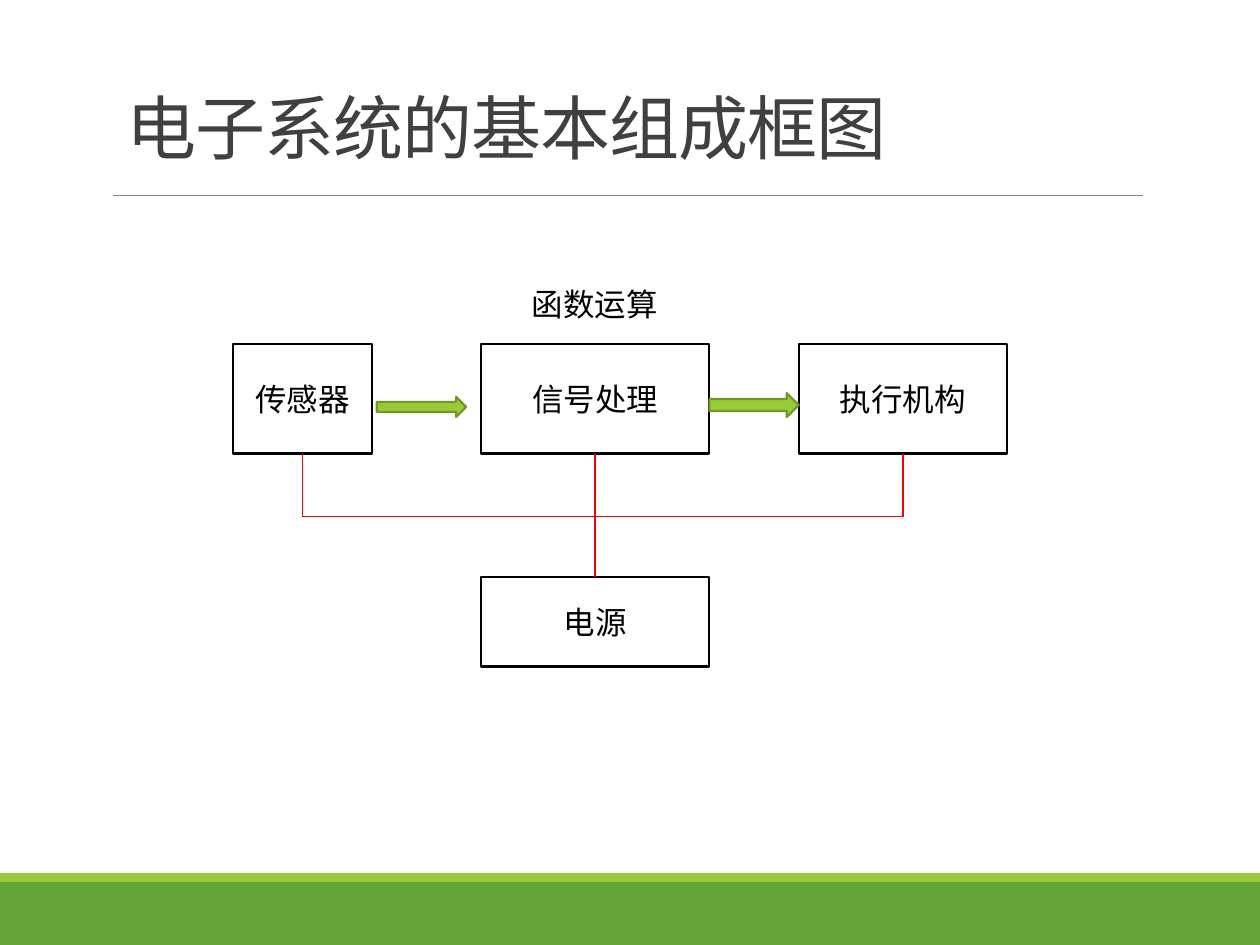
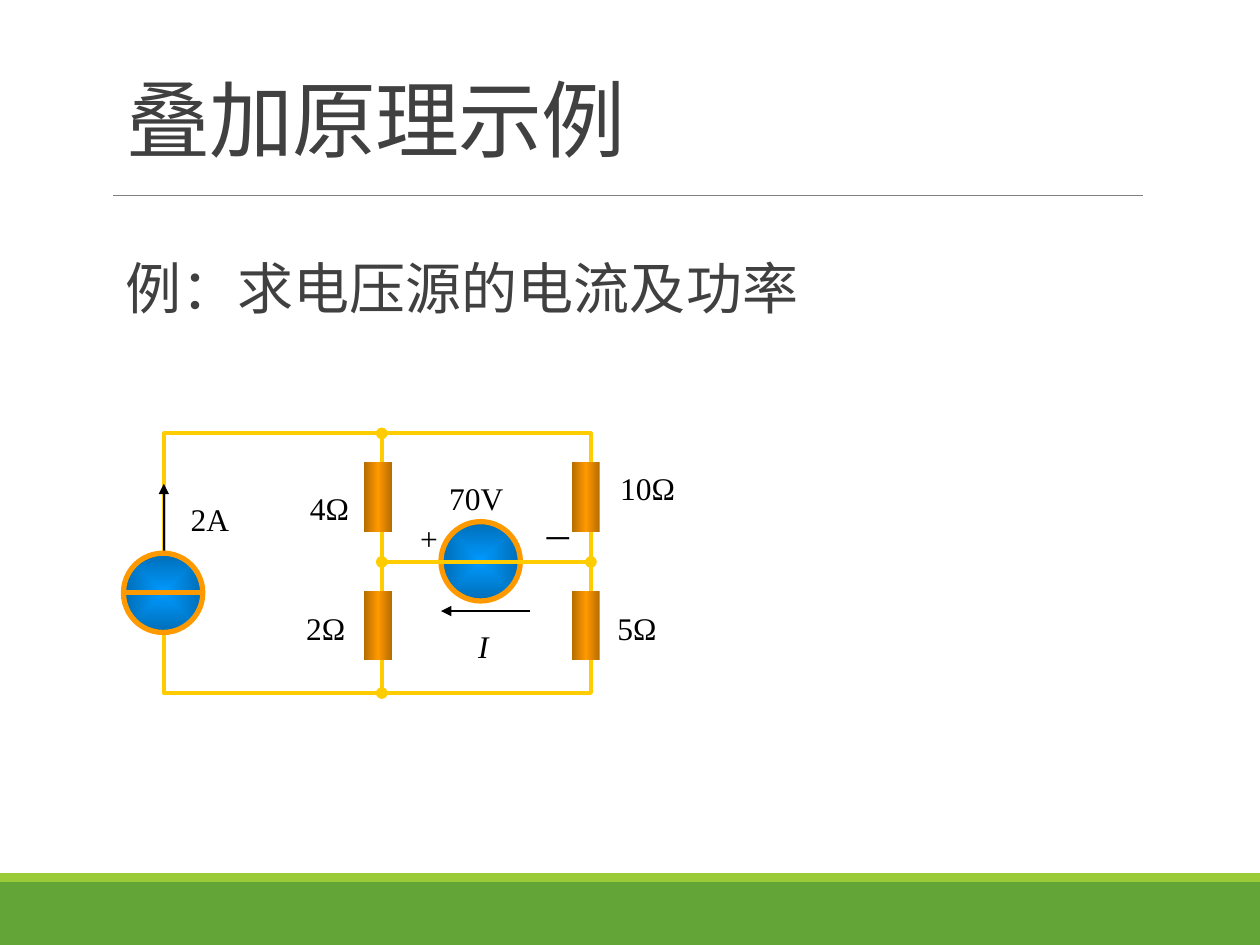
from itertools import product
from lxml.etree import SubElement
from pptx import Presentation
from pptx.dml.color import RGBColor
from pptx.enum.shapes import MSO_CONNECTOR, MSO_SHAPE
from pptx.enum.text import MSO_ANCHOR, MSO_AUTO_SIZE, PP_ALIGN
from pptx.oxml.ns import qn
from pptx.util import Inches, Pt

WHITE, BLACK, GREY, RULE = "FFFFFF", "000000", "404040", "808080"
DARK_GREEN, GREEN, ARROW_EDGE, RED = "63A537", "99CB38", "719629", "FF0000"
WIRE, ORANGE = "FFCC00", "FF9900"
CHINESE, BODY, FORMULA = "Noto Sans CJK SC", "Calibri", "Times New Roman"

BANDS = [(0, 7, 10, 0.5, DARK_GREEN), (0, 6.93, 10, 0.07, GREEN)]
TITLE_AREA = (0.9, 0.31, 8.25, 1.08)
TITLE_LINE = ((0.9, 1.55), (9.07, 1.55))

DIAGRAM_TITLE = ("电子系统的基本组成框图", 40)
STAGE_TOP, STAGE_HEIGHT, BUS_LEVEL = 2.73, 0.87, 4.1
STAGES = [("传感器", 1.85, 1.1), ("信号处理", 3.82, 1.81), ("执行机构", 6.34, 1.65)]
POWER_SUPPLY = ("电源", (3.82, 4.58, 1.81, 0.71))
FLOW_ARROWS = [(2.99, 3.15, 0.71, 0.16), (5.63, 3.12, 0.71, 0.19)]
FUNCTION_LABEL = ("函数运算", (4.1, 2.21, 1.24, 0.4))

CIRCUIT_TITLE = ("叠加原理示例", 48)
QUESTION = ("例：求电压源的电流及功率", (0.9, 1.7, 8.25, 1.08))
LOOP = (1.3, 3.44, 3.39, 2.06)
MIDDLE_X, MIDDLE_Y = 3.03, 4.46
SOURCE_SIZE = 0.63
VOLTAGE_SOURCE, CURRENT_SOURCE = (3.5, 4.14), (0.98, 4.39)
RESISTOR_LEFTS, RESISTOR_TOPS, RESISTOR_SIZE = (2.89, 4.54), (3.67, 4.69), (0.22, 0.55)
SOURCE_STOPS = [(0, "0099FF"), (100, "006DB6")]
RESISTOR_STOPS = [(0, "B66D00"), (50, ORANGE), (100, "B66D00")]
CIRCUIT_LABELS = [
    ("4Ω", 2.2, 3.83, 0.83), ("2A", 1.41, 3.92, 0.51), ("70V", 3.46, 3.75, 0.64),
    ("10Ω", 4.57, 3.67, 1.14), ("5Ω", 4.64, 4.78, 0.83), ("2Ω", 2.17, 4.78, 0.83),
    ("+", 3.23, 4.07, 0.35), ("－", 4.2, 4.07, 0.46), ("I", 3.69, 4.93, 0.29),
]
LABEL_HEIGHT = 0.4


def color(value):
    return RGBColor.from_string(value)


def assign(target, values):
    for name, value in values.items():
        setattr(target, name, value)


def write(shape, text, size, font=BODY, fill=BLACK, italic=False, frame=None, paragraph=None):
    text_frame = shape.text_frame
    text_frame.text = text
    assign(text_frame, {"word_wrap": True, "auto_size": MSO_AUTO_SIZE.NONE,
                        "vertical_anchor": MSO_ANCHOR.MIDDLE, **(frame or {})})
    first = text_frame.paragraphs[0]
    assign(first, {"alignment": PP_ALIGN.CENTER, **(paragraph or {})})
    run = first.runs[0]
    assign(run.font, {"size": Pt(size), "name": font, "italic": italic})
    run.font.color.rgb = color(fill)
    SubElement(run.font._element, qn("a:ea"), typeface=CHINESE)
    return run


def add_figure(slide, kind, area, fill=None, line=None, width=1.25):
    shape = slide.shapes.add_shape(kind, *map(Inches, area))
    shape.shadow.inherit = False
    if fill:
        shape.fill.solid()
        shape.fill.fore_color.rgb = color(fill)
    else:
        shape.fill.background()
    if line:
        shape.line.color.rgb = color(line)
        shape.line.width = Pt(width)
    else:
        shape.line.fill.background()
    return shape


def add_line(slide, start, end, line, width, **ends):
    connector = slide.shapes.add_connector(
        MSO_CONNECTOR.STRAIGHT, *map(Inches, (*start, *end)))
    connector.line.color.rgb = color(line)
    connector.line.width = Pt(width)
    for side, kind in ends.items():
        SubElement(connector.line._get_or_add_ln(), qn(f"a:{side}End"), type=kind)
    SubElement(connector._element.spPr, qn("a:effectLst"))


def add_label(slide, text, area, **values):
    label = slide.shapes.add_textbox(*map(Inches, area))
    return write(label, text, 18, frame={"word_wrap": False}, **values)


def set_gradient(shape, stops, radial=False):
    shape.fill.gradient()
    gradient = shape._element.spPr.find(qn("a:gradFill"))
    for child in list(gradient):
        gradient.remove(child)
    stop_list = SubElement(gradient, qn("a:gsLst"))
    for position, value in stops:
        stop = SubElement(stop_list, qn("a:gs"), pos=str(position * 1000))
        SubElement(stop, qn("a:srgbClr"), val=value)
    if radial:
        direction = SubElement(gradient, qn("a:path"), {"path": "shape"})
        SubElement(direction, qn("a:fillToRect"), dict.fromkeys("ltrb", "50000"))
    else:
        SubElement(gradient, qn("a:lin"), ang="0", scaled="1")


def add_titled_slide(presentation, text, size):
    slide = presentation.slides.add_slide(presentation.slide_layouts[5])
    for *area, fill in BANDS:
        add_figure(slide, MSO_SHAPE.RECTANGLE, area, fill)
    add_line(slide, *TITLE_LINE, RULE, 0.5)
    title = slide.shapes.title
    assign(title, dict(zip(("left", "top", "width", "height"), map(Inches, TITLE_AREA))))
    run = write(title, text, size, CHINESE, GREY,
                frame={"vertical_anchor": MSO_ANCHOR.BOTTOM},
                paragraph={"alignment": PP_ALIGN.LEFT, "line_spacing": 0.85})
    run.font._element.set("spc", "-50")
    return slide


def build_diagram(presentation):
    slide = add_titled_slide(presentation, *DIAGRAM_TITLE)
    boxes = [(text, (left, STAGE_TOP, width, STAGE_HEIGHT)) for text, left, width in STAGES]
    for text, area in [*boxes, POWER_SUPPLY]:
        write(add_figure(slide, MSO_SHAPE.RECTANGLE, area, WHITE, BLACK), text, 18)
    for area in FLOW_ARROWS:
        add_figure(slide, MSO_SHAPE.RIGHT_ARROW, area, GREEN, ARROW_EDGE)
    stage_bottom = STAGE_TOP + STAGE_HEIGHT
    sensor, processor, actuator = [left + width / 2 for _, left, width in STAGES]
    supply_top = POWER_SUPPLY[1][1]
    for center, bottom in [(sensor, BUS_LEVEL), (processor, supply_top), (actuator, BUS_LEVEL)]:
        add_line(slide, (center, stage_bottom), (center, bottom), RED, 1)
    add_line(slide, (sensor, BUS_LEVEL), (actuator, BUS_LEVEL), RED, 1)
    add_label(slide, *FUNCTION_LABEL)


def add_source(slide, corner):
    area = (*corner, SOURCE_SIZE, SOURCE_SIZE)
    source = add_figure(slide, MSO_SHAPE.OVAL, area, line=ORANGE, width=3)
    set_gradient(source, SOURCE_STOPS, radial=True)


def build_circuit(presentation):
    slide = add_titled_slide(presentation, *CIRCUIT_TITLE)
    text, area = QUESTION
    question = slide.shapes.add_textbox(*map(Inches, area))
    write(question, text, 32, CHINESE, GREY, frame={"vertical_anchor": MSO_ANCHOR.TOP},
          paragraph={"alignment": PP_ALIGN.LEFT, "line_spacing": 1.5,
                     "space_before": Pt(12), "space_after": Pt(2)})

    add_source(slide, VOLTAGE_SOURCE)
    add_figure(slide, MSO_SHAPE.RECTANGLE, LOOP, line=WIRE, width=2.25)
    left, top, width, height = LOOP
    for start, end in [((MIDDLE_X, top), (MIDDLE_X, top + height)),
                       ((MIDDLE_X, MIDDLE_Y), (left + width, MIDDLE_Y))]:
        add_line(slide, start, end, WIRE, 2.25, head="oval", tail="oval")
    for text, label_left, label_top, label_width in CIRCUIT_LABELS:
        add_label(slide, text, (label_left, label_top, label_width, LABEL_HEIGHT),
                  font=FORMULA, italic=text == "I")

    source_left, source_top = CURRENT_SOURCE
    add_line(slide, (4.21, 4.85), (3.5, 4.85), BLACK, 1, tail="triangle")
    add_line(slide, (left, source_top), (left, 3.84), BLACK, 1, tail="triangle")
    for corner in product(RESISTOR_LEFTS, RESISTOR_TOPS):
        resistor = add_figure(slide, MSO_SHAPE.RECTANGLE, (*corner, *RESISTOR_SIZE))
        set_gradient(resistor, RESISTOR_STOPS)
    add_source(slide, CURRENT_SOURCE)
    source_middle = source_top + SOURCE_SIZE / 2
    add_line(slide, (source_left, source_middle),
             (source_left + SOURCE_SIZE, source_middle), ORANGE, 3)


def main():
    presentation = Presentation()
    assign(presentation, {"slide_width": Inches(10), "slide_height": Inches(7.5)})
    build_diagram(presentation)
    build_circuit(presentation)
    presentation.save("out.pptx")


if __name__ == "__main__":
    main()
